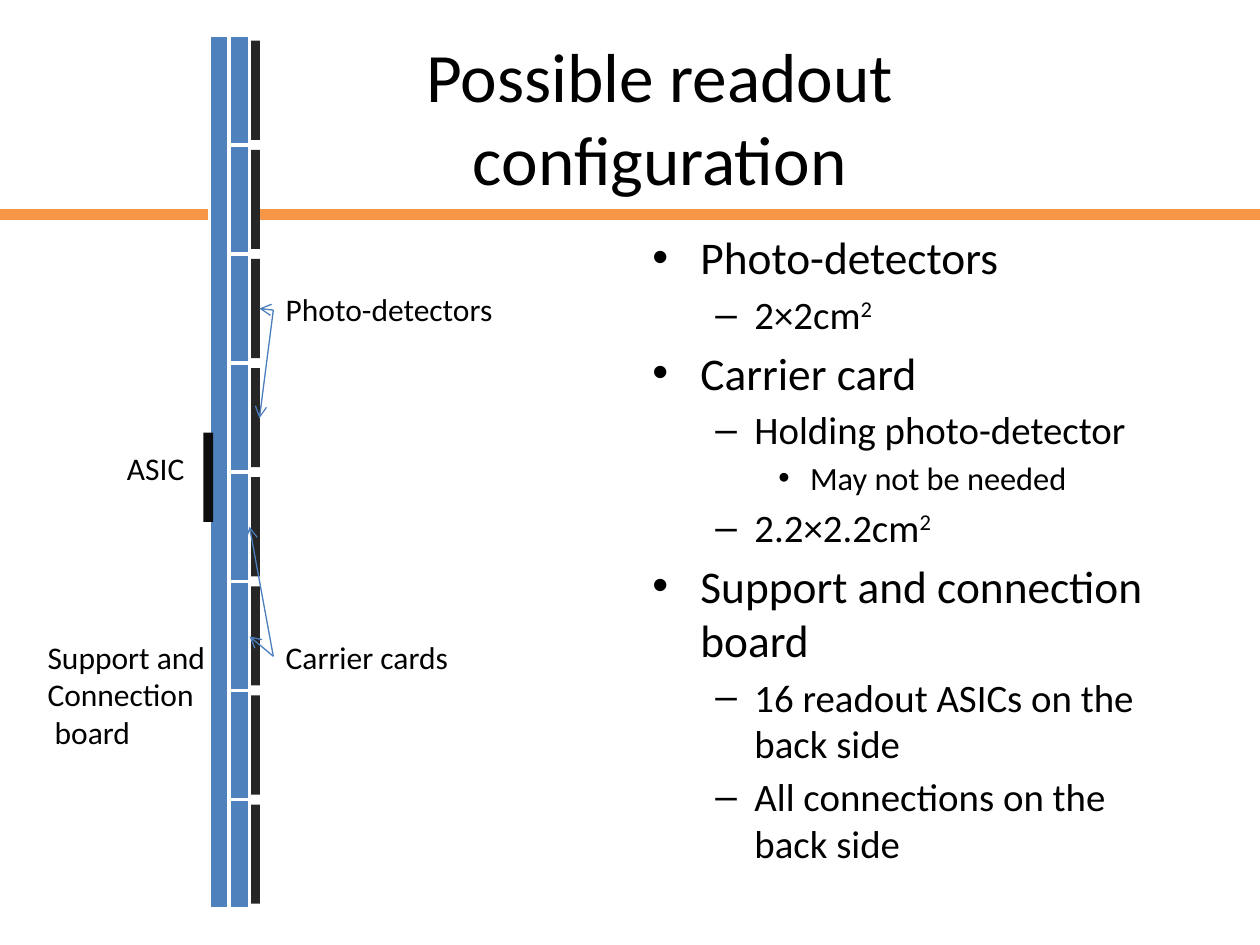
from lxml import etree
from pptx import Presentation
from pptx.dml.color import RGBColor
from pptx.enum.shapes import MSO_CONNECTOR, MSO_SHAPE
from pptx.enum.text import MSO_ANCHOR, PP_ALIGN
from pptx.oxml.ns import qn
from pptx.util import Cm, Pt

RECTANGLE = MSO_SHAPE.RECTANGLE
STRAIGHT = MSO_CONNECTOR.STRAIGHT
CENTER, LEFT = PP_ALIGN.CENTER, PP_ALIGN.LEFT
MIDDLE, TOP = MSO_ANCHOR.MIDDLE, MSO_ANCHOR.TOP

COLORS = {"text": "000000", "rule": "F79646", "board": "4F81BD", "gap": "FFFFFF",
          "detector": "262626", "asic": "0D0D0D", "pointer": "4B7EBC"}

# Per outline level: size in points, left margin and hanging indent in cm, bullet
LEVELS = [(25.9, 0.97, 0.97, "•"), (22.2, 2.06, 0.79, "–"), (18.5, 3.18, 0.64, "•")]

# Level, text, superscript
OUTLINE = [
    (0, "Photo-detectors", ""),
    (1, "2×2cm", "2"),
    (0, "Carrier card", ""),
    (1, "Holding photo-detector", ""),
    (2, "May not be needed", ""),
    (1, "2.2×2.2cm", "2"),
    (0, "Support and connection board", ""),
    (1, "16 readout ASICs on the back side", ""),
    (1, "All connections on the back side", ""),
]

CARD_COUNT = 8
CARD_LENGTH = 2.2
DETECTOR_LENGTH = 2
STACK_TOP = 0.72

# Text, left, top, width, height in cm
LABELS = [
    (["ASIC"], 2.31, 8.92, 1.68, 1.02),
    (["Photo-detectors"], 5.51, 5.72, 4.72, 1.02),
    (["Carrier cards"], 5.51, 12.73, 3.81, 1.02),
    (["Support and", "Connection", " board"], 0.71, 12.73, 3.73, 2.57),
]

# Start point and the points it refers to, in cm
POINTERS = [
    ((5.51, 6.25), [(5.23, 8.43), (5.23, 6.22)]),
    ((5.51, 13.23), [(5.03, 12.83), (5.03, 10.62)]),
]


def rgb(name):
    return RGBColor.from_string(COLORS[name])


class SlideBuilder:
    def __init__(self, slide, font_name="Calibri"):
        self.slide = slide
        self.font_name = font_name

    def style(self, paragraph, size):
        font = paragraph.font
        font.name, font.size = self.font_name, Pt(size)
        font.color.rgb = rgb("text")

    def text(self, lines, left, top, width, height, size, align=LEFT, anchor=TOP, wrap=False):
        box = self.slide.shapes.add_textbox(Cm(left), Cm(top), Cm(width), Cm(height))
        frame = box.text_frame
        frame.word_wrap, frame.vertical_anchor = wrap, anchor
        frame.text = "\n".join(lines)
        for paragraph in frame.paragraphs:
            paragraph.alignment = align
            self.style(paragraph, size)

    def outline(self, items, left, top, width, height):
        box = self.slide.shapes.add_textbox(Cm(left), Cm(top), Cm(width), Cm(height))
        frame = box.text_frame
        frame.word_wrap = True
        for index, (level, text, superscript) in enumerate(items):
            paragraph = frame.add_paragraph() if index else frame.paragraphs[0]
            size, margin, hanging, bullet = LEVELS[level]
            paragraph.level = level
            paragraph.space_before = Pt(round(size * 0.17, 1) if index else 0)
            properties = paragraph._p.get_or_add_pPr()
            properties.set("marL", str(Cm(margin)))
            properties.set("indent", str(-Cm(hanging)))
            etree.SubElement(properties, qn("a:buFont"), typeface="Arial")
            etree.SubElement(properties, qn("a:buChar"), char=bullet)
            self.style(paragraph, size)
            paragraph.add_run().text = text
            if superscript:
                run = paragraph.add_run()
                run.text = superscript
                run._r.get_or_add_rPr().set("baseline", "30000")

    def group(self):
        return self.slide.shapes.add_group_shape().shapes

    def bar(self, shapes, left, top, width, height, fill, outline=None):
        shape = shapes.add_shape(RECTANGLE, Cm(left), Cm(top), Cm(width), Cm(height))
        shape.shadow.inherit = False
        shape.fill.solid()
        shape.fill.fore_color.rgb = rgb(fill)
        if outline:
            shape.line.color.rgb = rgb(outline)
            shape.line.width = Pt(2)
        else:
            shape.line.fill.background()

    def line(self, start, end, color, width, arrow=False):
        connector = self.slide.shapes.add_connector(STRAIGHT, *map(Cm, start + end))
        connector.line.color.rgb = rgb(color)
        connector.line.width = Pt(width)
        if arrow:
            etree.SubElement(connector.line._get_or_add_ln(), qn("a:tailEnd"), type="arrow")
        etree.SubElement(connector._element.spPr, qn("a:effectLst"))


def draw_readout_stack(builder):
    """Draw the side view: detectors, carrier cards, support board and ASIC."""
    shapes = builder.group()
    margin = (CARD_LENGTH - DETECTOR_LENGTH) / 2
    for index in range(CARD_COUNT):
        top = STACK_TOP + index * CARD_LENGTH
        builder.bar(shapes, 5.04, top + margin, 0.2, DETECTOR_LENGTH, "detector")
        builder.bar(shapes, 4.63, top, 0.4, CARD_LENGTH, "board", "gap")
    builder.bar(shapes, 4.22, STACK_TOP, 0.4, CARD_COUNT * CARD_LENGTH, "board", "gap")
    builder.bar(shapes, 4.1, 8.72, 0.2, 1.8, "asic")


def main():
    presentation = Presentation()
    presentation.slide_width, presentation.slide_height = Cm(25.4), Cm(19.05)
    builder = SlideBuilder(presentation.slides.add_slide(presentation.slide_layouts[6]))

    builder.line((0, 4.32), (25.4, 4.32), "rule", 6)
    builder.text(["Possible readout configuration"], 6.1, 0.76, 14.4, 3.18, 39.6,
                 CENTER, MIDDLE, wrap=True)
    builder.outline(OUTLINE, 12.9, 4.5, 11.23, 12.57)
    draw_readout_stack(builder)
    for lines, *place in LABELS:
        builder.text(lines, *place, size=18)
    for start, targets in POINTERS:
        for target in targets:
            builder.line(start, target, "pointer", 0.75, arrow=True)

    presentation.save("out.pptx")


if __name__ == "__main__":
    main()
